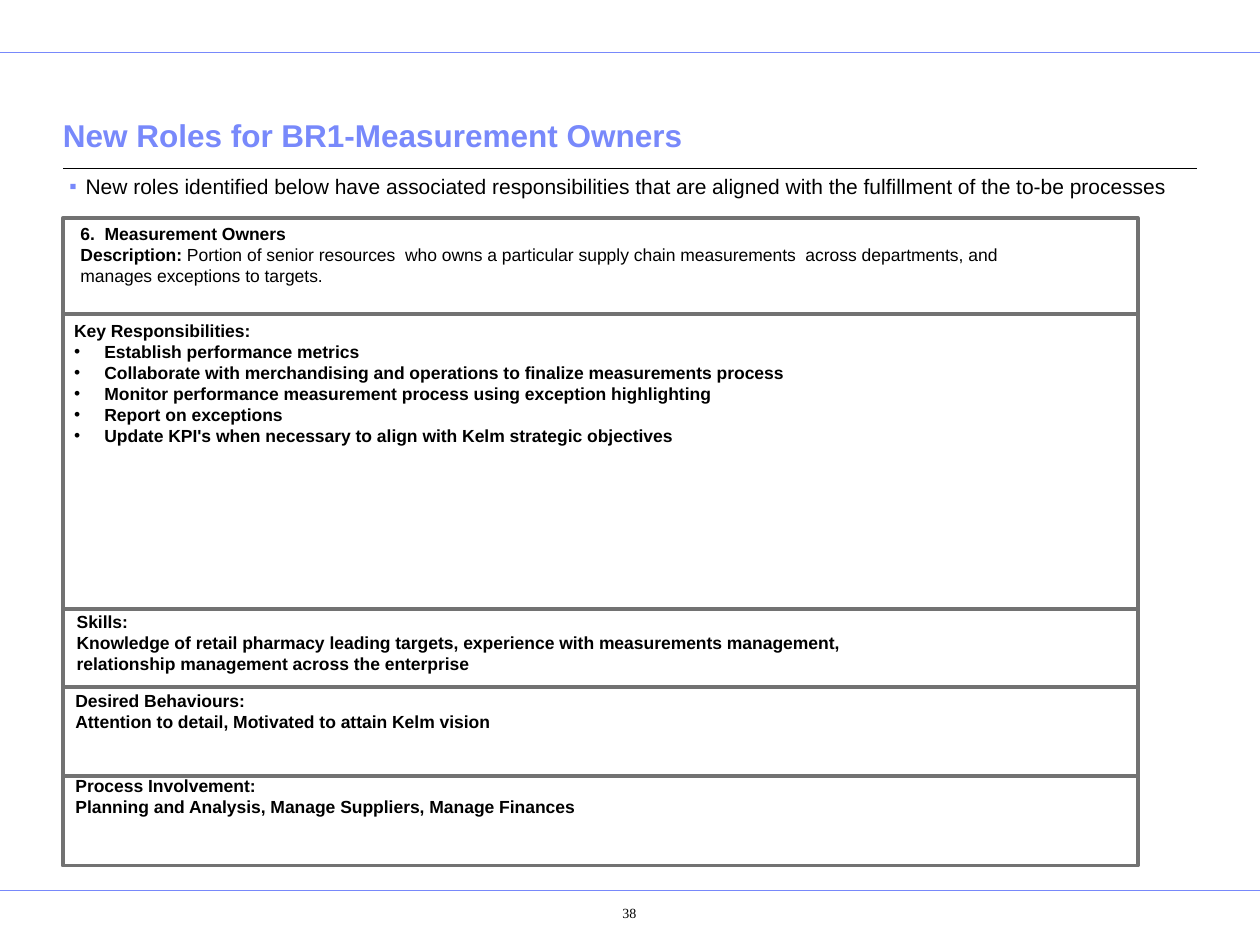
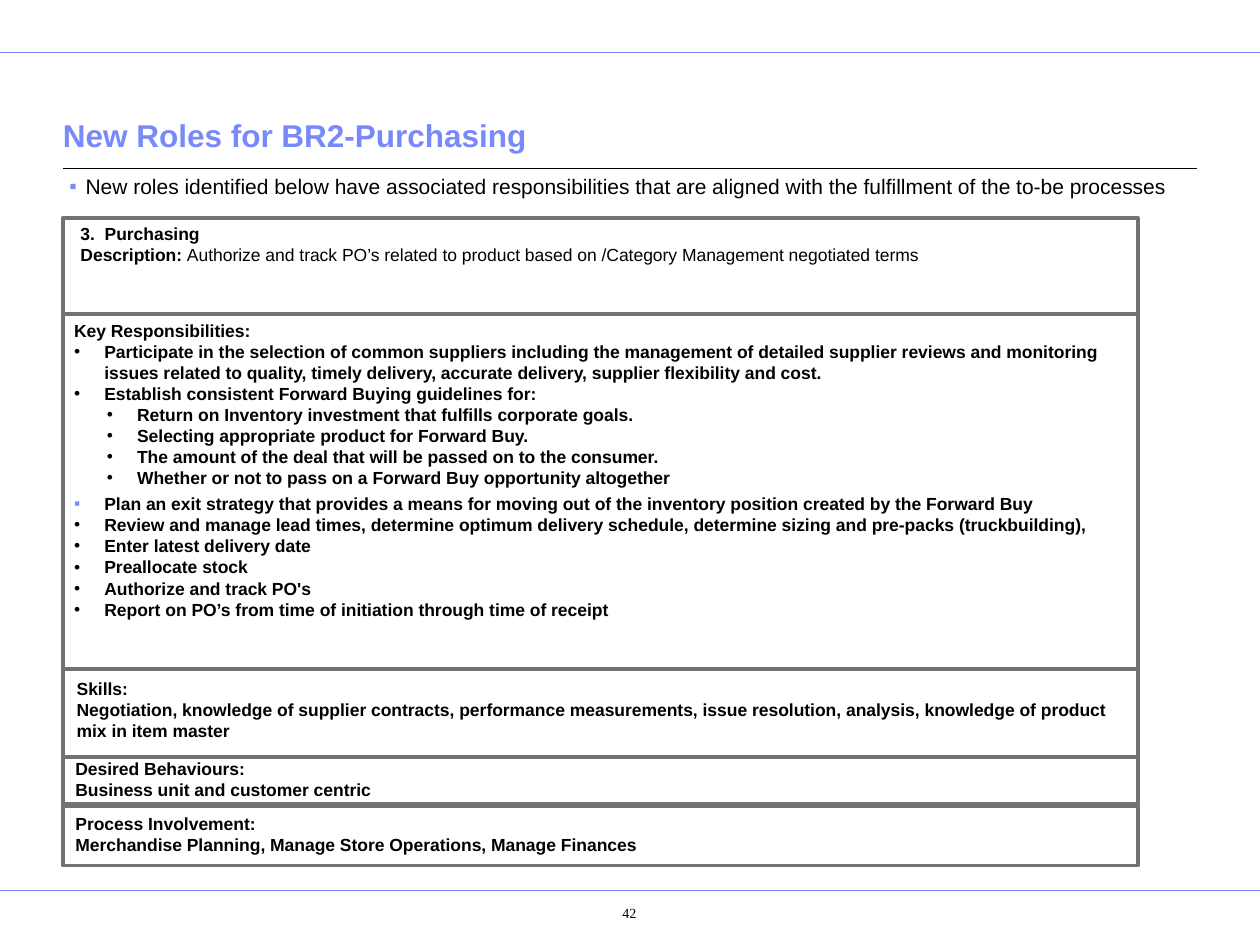
from dataclasses import dataclass

from lxml.etree import SubElement
from pptx import Presentation
from pptx.dml.color import RGBColor
from pptx.enum.shapes import MSO_CONNECTOR, MSO_SHAPE
from pptx.enum.text import MSO_ANCHOR, MSO_AUTO_SIZE, PP_ALIGN
from pptx.oxml.ns import qn
from pptx.util import Pt

PX = 9144  # EMU per px, 100 px to the inch


@dataclass(frozen=True)
class Theme:
    accent: str = "7889FB"
    ink: str = "000000"
    frame: str = "727272"
    font: str = "Arial"
    number_font: str = "Times New Roman"
    title_size: int = 18
    intro_size: int = 12
    text_size: int = 10
    number_size: int = 8


THEME = Theme()


@dataclass(frozen=True)
class Style:
    size: int = THEME.text_size
    bold: bool = True
    color: str = THEME.ink
    font: str = THEME.font
    align: PP_ALIGN = PP_ALIGN.LEFT
    bullet: str = ""
    bullet_color: str = THEME.ink
    level: int = 0
    margin: int = 0
    hanging: int = 0
    line_spacing: float = 1.0
    space_before: float = 0


TITLE = Style(THEME.title_size, color=THEME.accent)
INTRO = Style(THEME.intro_size, bold=False, bullet="▪", bullet_color=THEME.accent,
              margin=13, hanging=13, line_spacing=1.04)
PLAIN = Style()
DOT = Style(bullet="•", margin=24, hanging=24)
SUB_DOT = Style(bullet="•", level=1, margin=50, hanging=24)
SQUARE = Style(bullet="▪", bullet_color=THEME.accent, margin=24, hanging=24,
               line_spacing=1.04, space_before=2.5)
NUMBER = Style(THEME.number_size, bold=False, font=THEME.number_font,
               align=PP_ALIGN.CENTER)


def add_line(slide, left, right, y, color, width):
    line = slide.shapes.add_connector(
        MSO_CONNECTOR.STRAIGHT, left * PX, y * PX, right * PX, y * PX)
    line.line.color.rgb = RGBColor.from_string(color)
    line.line.width = Pt(width)
    SubElement(line.element.spPr, qn("a:effectLst"))


def add_text(slide, box, insets, paragraphs):
    """Each paragraph is a style and its runs; runs after the first are not bold."""
    shape = slide.shapes.add_textbox(*(length * PX for length in box))
    frame = shape.text_frame
    frame.word_wrap = True
    (frame.margin_left, frame.margin_top,
     frame.margin_right, frame.margin_bottom) = (inset * PX for inset in insets)
    for index, (style, *runs) in enumerate(paragraphs):
        paragraph = frame.paragraphs[0] if index == 0 else frame.add_paragraph()
        paragraph.alignment = style.align
        paragraph.level = style.level
        paragraph.line_spacing = style.line_spacing
        if style.space_before:
            paragraph.space_before = Pt(style.space_before)
        if style.bullet:
            properties = paragraph._p.get_or_add_pPr()
            properties.set("marL", str(style.margin * PX))
            properties.set("indent", str(-style.hanging * PX))
            bullet_color = SubElement(properties, qn("a:buClr"))
            SubElement(bullet_color, qn("a:srgbClr"), val=style.bullet_color)
            SubElement(properties, qn("a:buFont"), typeface=style.font)
            SubElement(properties, qn("a:buChar"), char=style.bullet)
        for run_index, text in enumerate(runs):
            run = paragraph.add_run()
            run.text = text
            run.font.name = style.font
            run.font.size = Pt(style.size)
            run.font.bold = style.bold and run_index == 0
            run.font.color.rgb = RGBColor.from_string(style.color)
    return frame


INTRO_TEXT = ("New roles identified below have associated responsibilities that are "
              "aligned with the fulfillment of the to-be processes")
FRAME_LEFT, FRAME_WIDTH = 50, 853

# Each section: frame top and height, text left, top, width and height, paragraphs
ROLES = [
    {
        "title": "New Roles for BR1-Measurement Owners",
        "number": "38",
        "sections": [
            ((173, 76), (54, 172, 765, 60), [
                (PLAIN, "6.  Measurement Owners"),
                (PLAIN, "Description: ",
                 "Portion of senior resources  who owns a particular supply chain "
                 "measurements  across departments, and manages exceptions to targets."),
            ]),
            ((249, 234), (49, 249, 854, 110), [
                (PLAIN, "Key Responsibilities:"),
                (DOT, "Establish performance metrics"),
                (DOT, "Collaborate with merchandising and operations to finalize "
                      "measurements process"),
                (DOT, "Monitor performance measurement process using exception highlighting"),
                (DOT, "Report on exceptions"),
                (DOT, "Update KPI's when necessary to align with Kelm strategic objectives"),
            ]),
            ((483, 62), (51, 480, 701, 60), [
                (PLAIN, "Skills:"),
                (PLAIN, "Knowledge of retail pharmacy leading targets, experience with "
                        "measurements management, relationship management across the "
                        "enterprise"),
            ]),
            ((545, 71), (50, 543, 350, 44), [
                (PLAIN, "Desired Behaviours:"),
                (PLAIN, "Attention to detail, Motivated to attain Kelm vision"),
            ]),
            ((616, 71), (50, 610, 852, 44), [
                (PLAIN, "Process Involvement:"),
                (PLAIN, "Planning and Analysis, Manage Suppliers, Manage Finances"),
            ]),
        ],
    },
    {
        "title": "New Roles for BR2-Purchasing",
        "number": "42",
        "sections": [
            ((173, 76), (54, 172, 765, 44), [
                (PLAIN, "3.  Purchasing"),
                (PLAIN, "Description: ",
                 "Authorize and track PO’s related to product based on /Category "
                 "Management negotiated terms"),
            ]),
            ((249, 282), (49, 249, 854, 248), [
                (PLAIN, "Key Responsibilities:"),
                (DOT, "Participate in the selection of common suppliers including the "
                      "management of detailed supplier reviews and monitoring issues "
                      "related to quality, timely delivery, accurate delivery, supplier "
                      "flexibility and cost."),
                (DOT, "Establish consistent Forward Buying guidelines for:"),
                (SUB_DOT, "Return on Inventory investment that fulfills corporate goals."),
                (SUB_DOT, "Selecting appropriate product for Forward Buy."),
                (SUB_DOT, "The amount of the deal that will be passed on to the consumer."),
                (SUB_DOT, "Whether or not to pass on a Forward Buy opportunity altogether"),
                (SQUARE, "Plan an exit strategy that provides a means for moving out of "
                         "the inventory position created by the Forward Buy"),
                (DOT, "Review and manage lead times, determine optimum delivery schedule, "
                      "determine sizing and pre-packs (truckbuilding),"),
                (DOT, "Enter latest delivery date"),
                (DOT, "Preallocate stock"),
                (DOT, "Authorize and track PO's"),
                (DOT, "Report on PO’s from time of initiation through time of receipt"),
            ]),
            ((531, 70), (51, 533, 852, 60), [
                (PLAIN, "Skills:"),
                (PLAIN, "Negotiation, knowledge of supplier contracts, performance "
                        "measurements, issue resolution, analysis, knowledge of product "
                        "mix in item master"),
            ]),
            ((601, 37), (50, 597, 260, 44), [
                (PLAIN, "Desired Behaviours:"),
                (PLAIN, "Business unit and customer centric"),
            ]),
            ((640, 47), (50, 640, 852, 44), [
                (PLAIN, "Process Involvement:"),
                (PLAIN, "Merchandise Planning, Manage Store Operations, Manage Finances"),
            ]),
        ],
    },
]

presentation = Presentation()
presentation.slide_width = 1000 * PX
presentation.slide_height = 750 * PX

for role in ROLES:
    slide = presentation.slides.add_slide(presentation.slide_layouts[6])

    # Page rules
    for y in (42, 707):
        add_line(slide, 0, 1000, y, THEME.accent, 0.5)
    add_line(slide, 50, 950, 134, THEME.ink, 0.75)

    # Title and introduction
    title_frame = add_text(slide, (50, 64, 900, 63), (0, 5, 0, 5),
                           [(TITLE, role["title"])])
    title_frame.vertical_anchor = MSO_ANCHOR.BOTTOM
    add_text(slide, (50, 132, 900, 551), (5, 5, 5, 5), [(INTRO, INTRO_TEXT)])

    # Framed sections
    for (top, height), text_box, paragraphs in role["sections"]:
        frame = slide.shapes.add_shape(
            MSO_SHAPE.RECTANGLE, FRAME_LEFT * PX, top * PX, FRAME_WIDTH * PX, height * PX)
        frame.shadow.inherit = False
        frame.fill.background()
        frame.line.color.rgb = RGBColor.from_string(THEME.frame)
        frame.line.width = Pt(2.25)
        section_frame = add_text(slide, text_box, (10, 5, 10, 5), paragraphs)
        section_frame.auto_size = MSO_AUTO_SIZE.SHAPE_TO_FIT_TEXT

    # Page number
    add_text(slide, (427, 711, 115, 35), (40, 7, 10, 5), [(NUMBER, role["number"])])

presentation.save("out.pptx")
